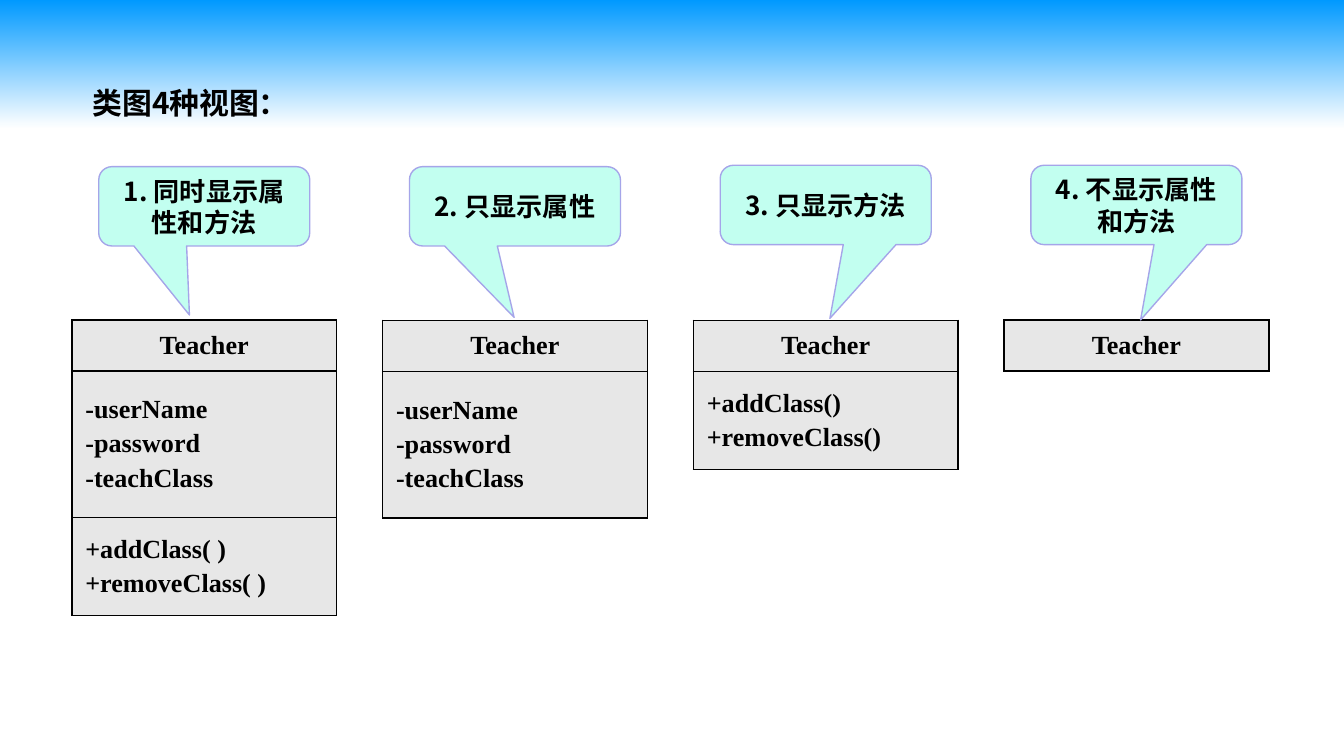
from lxml import etree
from pptx import Presentation
from pptx.dml.color import RGBColor
from pptx.enum import shapes, text
from pptx.oxml import ns
from pptx.util import Inches, Pt

BLACK = RGBColor(0x00, 0x00, 0x00)
WHITE = RGBColor(0xFF, 0xFF, 0xFF)
SKY = RGBColor(0x00, 0x99, 0xFF)
MINT = RGBColor(0xC2, 0xFF, 0xF0)
LILAC = RGBColor(0xA5, 0xA5, 0xE9)
GREY = RGBColor(0xE7, 0xE7, 0xE7)
CJK_FONT = "Noto Sans CJK SC"
LATIN_FONT = "Times New Roman"

SLIDE_WIDTH = Inches(10)
SLIDE_HEIGHT = SLIDE_WIDTH * 9 // 16
NAME_HEIGHT = 0.38
ATTRIBUTES_HEIGHT = 1.09
METHODS_HEIGHT = 0.73
CLASS_WIDTH = 1.97
CALLOUT_WIDTH, CALLOUT_HEIGHT = 1.57, 0.59
FIRST_LEFT, COLUMN_STEP = 0.535, 2.312

ATTRIBUTES = (ATTRIBUTES_HEIGHT, ["-userName", "-password", "-teachClass"])
SPACED_METHODS = (METHODS_HEIGHT, ["+addClass( )", "+removeClass( )"])
METHODS = (METHODS_HEIGHT, ["+addClass()", "+removeClass()"])

VIEWS = [
    ("1. 同时显示属性和方法", 1.24, (-0.07, 1.37), 2.38, [ATTRIBUTES, SPACED_METHODS]),
    ("2. 只显示属性", 1.24, (-0.004, 1.4), 2.385, [ATTRIBUTES]),
    ("3. 只显示方法", 1.23, (0.02, 1.43), 2.385, [METHODS]),
    ("4. 不显示属性和方法", 1.23, (0.02, 1.45), 2.38, []),
]


def add_run(paragraph, words, size, font_name):
    """Append a bold black run, with the font set for every script."""
    run = paragraph.add_run()
    run.text = words
    run.font.size = Pt(size)
    run.font.bold = True
    run.font.color.rgb = BLACK
    run.font.name = font_name
    east_asian = etree.SubElement(run.font._element, ns.qn("a:ea"))
    east_asian.set("typeface", font_name)


def paint_background(slide):
    """Fade the slide from sky blue at the top to white."""
    fill = slide.background.fill
    fill.gradient()
    fill.gradient_angle = 270
    for stop, color, position in zip(fill.gradient_stops, (SKY, WHITE), (0, 0.17)):
        stop.color.rgb = color
        stop.position = position


def add_heading(slide, left, top, width, height):
    """Place the slide heading in the given box."""
    heading = slide.shapes.add_textbox(*map(Inches, (left, top, width, height)))
    frame = heading.text_frame
    frame.word_wrap = True
    frame.vertical_anchor = text.MSO_ANCHOR.MIDDLE
    add_run(frame.paragraphs[0], "类图4种视图：", 16, CJK_FONT)


def add_callout(slide, left, top, width, height, caption, tip):
    """Place a speech bubble whose tip is relative to its centre."""
    callout = slide.shapes.add_shape(
        shapes.MSO_SHAPE.ROUNDED_RECTANGULAR_CALLOUT,
        *map(Inches, (left, top, width, height)))
    callout.adjustments[0], callout.adjustments[1] = tip
    callout.shadow.inherit = False
    callout.fill.solid()
    callout.fill.fore_color.rgb = MINT
    callout.line.color.rgb = LILAC
    callout.line.width = Pt(0.75)
    frame = callout.text_frame
    frame.word_wrap = True
    frame.vertical_anchor = text.MSO_ANCHOR.MIDDLE
    frame.paragraphs[0].alignment = text.PP_ALIGN.CENTER
    add_run(frame.paragraphs[0], caption, 14, CJK_FONT)


def add_borders(cell):
    """Draw a thin black line on all four sides of a cell."""
    properties = cell._tc.get_or_add_tcPr()
    for index, side in enumerate(("lnL", "lnR", "lnT", "lnB")):
        border = etree.Element(ns.qn(f"a:{side}"), w=str(Pt(1)))
        solid = etree.SubElement(border, ns.qn("a:solidFill"))
        etree.SubElement(solid, ns.qn("a:srgbClr"), val=str(BLACK))
        properties.insert(index, border)


def fill_compartment(cell, lines, alignment):
    """Write the lines of one class compartment."""
    cell.fill.solid()
    cell.fill.fore_color.rgb = GREY
    add_borders(cell)
    cell.vertical_anchor = text.MSO_ANCHOR.MIDDLE
    cell.margin_left = cell.margin_right = Inches(0.1)
    cell.margin_top = cell.margin_bottom = Inches(0.04)
    frame = cell.text_frame
    for index, line in enumerate(lines):
        paragraph = frame.add_paragraph() if index else frame.paragraphs[0]
        paragraph.alignment = alignment
        if index:
            paragraph.space_before = Pt(2.8)
        add_run(paragraph, line, 14, LATIN_FONT)


def add_class(slide, left, top, width, compartments):
    """Place a class box: its name above the given compartments."""
    rows = [(NAME_HEIGHT, ["Teacher"]), *compartments]
    height = sum(row_height for row_height, _ in rows)
    table = slide.shapes.add_table(
        len(rows), 1, *map(Inches, (left, top, width, height))).table
    table.first_row = table.horz_banding = False
    for index, (row_height, lines) in enumerate(rows):
        table.rows[index].height = Inches(row_height)
        alignment = text.PP_ALIGN.LEFT if index else text.PP_ALIGN.CENTER
        fill_compartment(table.cell(index, 0), lines, alignment)


def main():
    """Build the slide and save it."""
    deck = Presentation()
    deck.slide_width, deck.slide_height = SLIDE_WIDTH, SLIDE_HEIGHT
    slide = deck.slides.add_slide(deck.slide_layouts[6])
    paint_background(slide)
    add_heading(slide, 0.59, 0.55, 4.29, 0.42)
    for column, (caption, callout_top, tip, class_top, compartments) in enumerate(VIEWS):
        left = FIRST_LEFT + column * COLUMN_STEP
        callout_left = left + (CLASS_WIDTH - CALLOUT_WIDTH) / 2
        add_class(slide, left, class_top, CLASS_WIDTH, compartments)
        add_callout(slide, callout_left, callout_top, CALLOUT_WIDTH, CALLOUT_HEIGHT,
                    caption, tip)
    deck.save("out.pptx")


if __name__ == "__main__":
    main()
